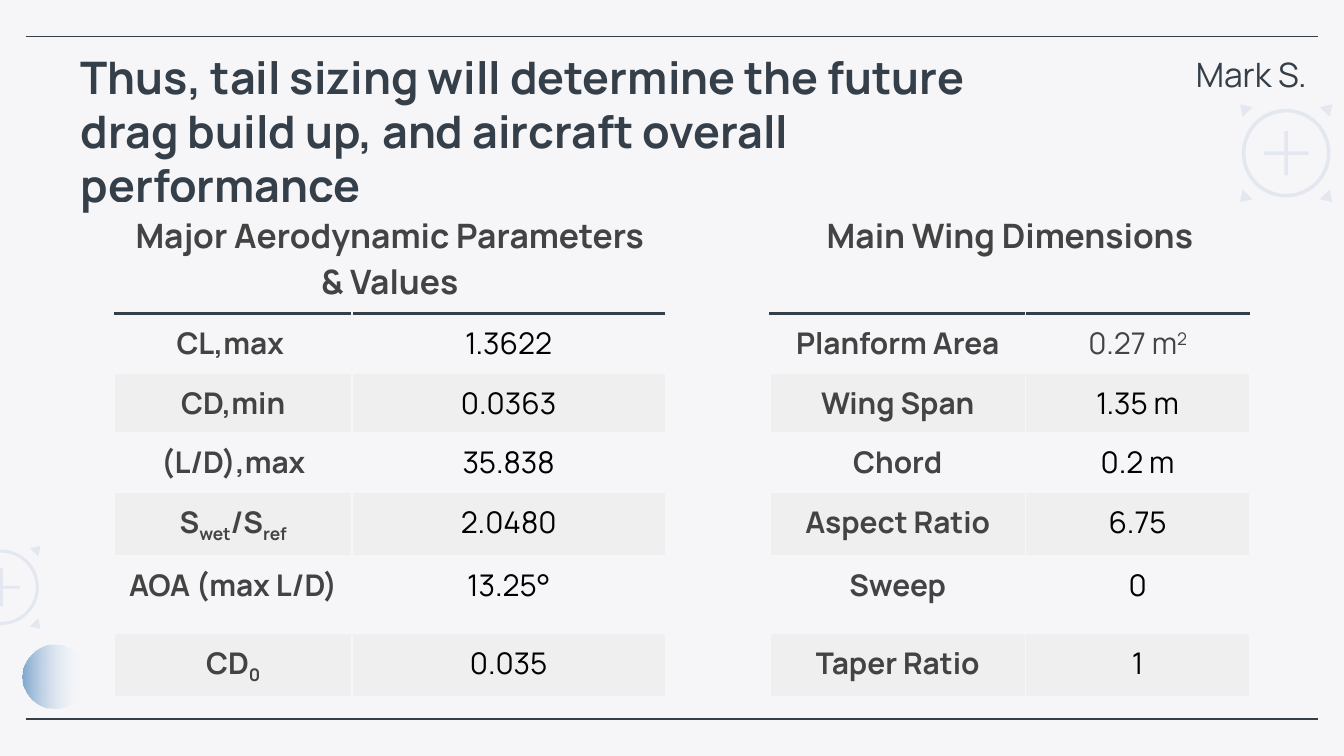
from itertools import product

from lxml.etree import SubElement
from pptx import Presentation
from pptx.dml.color import RGBColor
from pptx.enum.shapes import MSO_CONNECTOR, MSO_SHAPE
from pptx.enum.text import MSO_ANCHOR, MSO_AUTO_SIZE, PP_ALIGN
from pptx.oxml.ns import qn
from pptx.util import Inches, Pt

COLORS = {"page": "F6F6F8", "ink": "353F49", "label": "434343", "value": "000000",
          "band": "EFEFEF", "reticle": "D6DEEB", "orb": "81A7CE", "white": "FFFFFF"}
FONT = "Manrope"
COLUMNS = [1.77, 2.33, 0.78, 1.9, 1.67]
ROWS = [0.74, 0.41, 0.41, 0.41, 0.41, 0.58, 0.41]
HEADINGS = {0: "Major Aerodynamic Parameters & Values", 3: "Main Wing Dimensions"}
GAP = 2

# Each cell is a list of (text, baseline shift in percent)
AERODYNAMICS = [
    ([("CL,max ", 0)], [("1.3622", 0)]),
    ([("CD,min", 0)], [("0.0363", 0)]),
    ([("(L/D),max", 0)], [("35.838", 0)]),
    ([("S", 0), ("wet", -25), ("/S", 0), ("ref", -25)], [("2.0480", 0)]),
    ([("AOA (max L/D)", 0)], [("13.25°", 0)]),
    ([("CD", 0), ("0", -25)], [("0.035", 0)]),
]
WING = [
    ([("Planform Area", 0)], [("0.27 m", 0), ("2", 30)]),
    ([("Wing Span", 0)], [("1.35 m", 0)]),
    ([("Chord", 0)], [("0.2 m", 0)]),
    ([("Aspect Ratio", 0)], [("6.75", 0)]),
    ([("Sweep", 0)], [("0", 0)]),
    ([("Taper Ratio", 0)], [("1", 0)]),
]


def color(name):
    return RGBColor.from_string(COLORS[name])


def add_span(para, text, size, ink, bold=False, shift=0):
    span = para.add_run()
    span.text = text
    span.font.name = FONT
    span.font.size = Pt(size)
    span.font.bold = bold
    span.font.color.rgb = color(ink)
    if shift:
        span.font._element.set("baseline", str(shift * 1000))


def set_alpha(color_element, percent):
    SubElement(color_element, qn("a:alpha")).set("val", str(percent * 1000))


def add_rule(page, left, top, width):
    rule = page.shapes.add_connector(MSO_CONNECTOR.STRAIGHT, Inches(left), Inches(top),
                                     Inches(left + width), Inches(top))
    rule.line.color.rgb = color("ink")
    rule.line.width = Pt(0.75)
    SubElement(rule._element.spPr, qn("a:effectLst"))


def paint_reticle(shape):
    shape.shadow.inherit = False
    shape.line.fill.background()
    shape.fill.solid()
    shape.fill.fore_color.rgb = color("reticle")
    set_alpha(next(shape._element.spPr.iter(qn("a:srgbClr"))), 61)


def add_reticle(page, left, top, size, sides):
    """Ring with a cross inside and a small triangle at each corner of the given sides."""
    center_x, center_y = left + size / 2, top + size / 2
    for kind, share, adjustment in ((MSO_SHAPE.MATH_PLUS, 0.68, 0.058),
                                    (MSO_SHAPE.DONUT, 1, 0.04)):
        extent = size * share
        part = page.shapes.add_shape(kind, Inches(center_x - extent / 2),
                                     Inches(center_y - extent / 2),
                                     Inches(extent), Inches(extent))
        part.adjustments[0] = adjustment
        paint_reticle(part)
    for side, end in product(sides, (-1, 1)):
        points = [(Inches(center_x + side * x * size), Inches(center_y + end * y * size))
                  for x, y in ((0.52, 0.55), (0.49, 0.41), (0.38, 0.52))]
        builder = page.shapes.build_freeform(*points[0])
        builder.add_line_segments(points[1:], close=True)
        paint_reticle(builder.convert_to_shape())


def add_orb(page, left, top, size):
    orb = page.shapes.add_shape(MSO_SHAPE.OVAL, Inches(left), Inches(top),
                                Inches(size), Inches(size))
    orb.shadow.inherit = False
    orb.line.fill.background()
    orb.fill.gradient()
    orb.fill.gradient_angle = 0
    for stop, name in zip(orb.fill.gradient_stops, ("orb", "white")):
        stop.color.rgb = color(name)
    set_alpha(list(orb._element.spPr.iter(qn("a:srgbClr")))[-1], 0)


def set_frame(frame, top, bottom):
    frame.word_wrap = True
    frame.auto_size = MSO_AUTO_SIZE.NONE
    frame.vertical_anchor = MSO_ANCHOR.TOP
    frame.margin_left = frame.margin_right = Inches(0.1)
    frame.margin_top, frame.margin_bottom = Inches(top), Inches(bottom)


def add_title(page, left, top, width, height):
    title = page.shapes.title
    title.left, title.top = Inches(left), Inches(top)
    title.width, title.height = Inches(width), Inches(height)
    set_frame(title.text_frame, 0.1, 0.1)
    para = title.text_frame.paragraphs[0]
    para._p.get_or_add_pPr().set("marL", str(Inches(0.5)))
    para.alignment = PP_ALIGN.LEFT
    add_span(para, "Thus, tail sizing will determine the future drag build up, "
             "and aircraft overall performance", 24, "ink", True)


def add_presenter(page, left, top, width, height):
    box = page.shapes.add_textbox(Inches(left), Inches(top), Inches(width), Inches(height))
    set_frame(box.text_frame, 0.4, 0.02)
    add_span(box.text_frame.paragraphs[0], "Mark S.", 18, "ink")


def set_borders(cell, row, column):
    """Page-coloured borders, with a heavy rule under each heading."""
    properties = cell._tc.get_or_add_tcPr()
    for index, edge in enumerate(("lnL", "lnR", "lnT", "lnB")):
        under_heading = (row, edge) in ((0, "lnB"), (1, "lnT"))
        name = "ink" if under_heading and column != GAP else "page"
        line = SubElement(properties, qn("a:" + edge))
        line.set("w", str(Pt(2.25 if under_heading else 0.75)))
        fill = SubElement(line, qn("a:solidFill"))
        SubElement(fill, qn("a:srgbClr")).set("val", COLORS[name])
        properties.insert(index, line)


def fill_cell(cell, spans, size, ink, bold):
    cell.margin_left = cell.margin_right = Inches(0.07)
    cell.margin_top = cell.margin_bottom = Inches(0.07)
    para = cell.text_frame.paragraphs[0]
    para.alignment = PP_ALIGN.CENTER
    for text, shift in spans:
        add_span(para, text, size, ink, bold, shift)


def add_parameters(page, left, top):
    table = page.shapes.add_table(len(ROWS), len(COLUMNS), Inches(left), Inches(top),
                                  Inches(sum(COLUMNS)), Inches(sum(ROWS))).table
    table.first_row = table.horz_banding = False
    for column, width in zip(table.columns, COLUMNS):
        column.width = Inches(width)
    for row, height in zip(table.rows, ROWS):
        row.height = Inches(height)

    # Fills and borders
    for row, column in product(range(len(ROWS)), range(len(COLUMNS))):
        cell = table.cell(row, column)
        if row == 0 or column == GAP:
            cell.fill.solid()
            cell.fill.fore_color.rgb = color("page")
        elif row % 2 == 0:
            cell.fill.solid()
            cell.fill.fore_color.rgb = color("band")
        else:
            cell.fill.background()
        set_borders(cell, row, column)

    # Headings and the label-value pairs below them
    for start, pairs in ((0, AERODYNAMICS), (3, WING)):
        heading = table.cell(0, start)
        heading.merge(table.cell(0, start + 1))
        fill_cell(heading, [(HEADINGS[start], 0)], 18, "label", True)
        for row, (label, value) in enumerate(pairs, 1):
            fill_cell(table.cell(row, start), label, 16, "label", True)
            ink = "label" if (start, row) == (3, 1) else "value"
            fill_cell(table.cell(row, start + 1), value, 16, ink, False)


def main():
    deck = Presentation()
    # Widescreen, 16 to 9
    deck.slide_width = Inches(10)
    deck.slide_height = deck.slide_width * 9 // 16
    page = deck.slides.add_slide(deck.slide_layouts[5])
    page.background.fill.solid()
    page.background.fill.fore_color.rgb = color("page")

    # Decoration
    for top in (0.27, 5.35):
        add_rule(page, 0.19, top, 9.62)
    add_reticle(page, 9.24, 0.81, 0.66, (-1, 1))
    add_orb(page, 0.17, 4.8, 0.47)
    add_reticle(page, -0.27, 4.09, 0.56, (1,))

    # Content
    add_parameters(page, 0.85, 1.51)
    add_title(page, 0, 0.27, 7.76, 1.05)
    add_presenter(page, 8.8, 0, 1.2, 0.76)
    deck.save("out.pptx")


if __name__ == "__main__":
    main()
